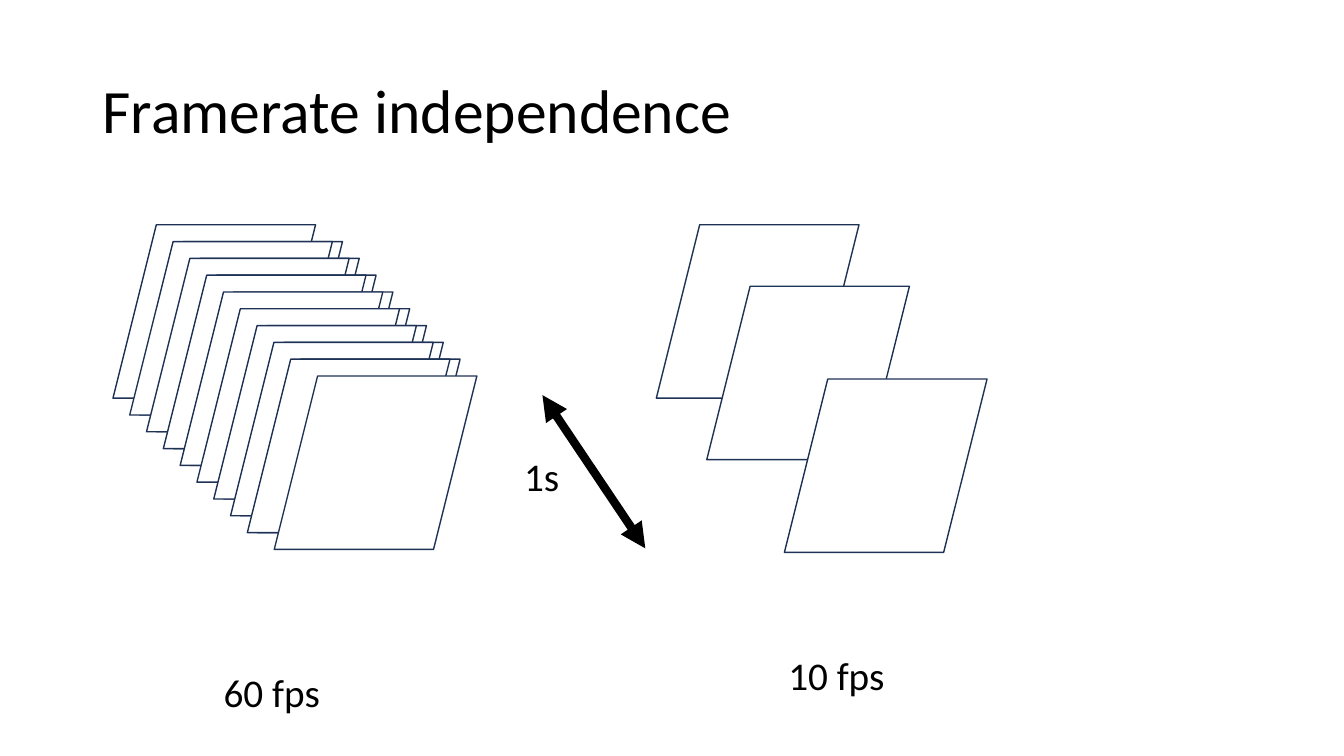
import pptx
import pptx.dml.color
import pptx.enum.shapes
import pptx.enum.text
import pptx.oxml
import pptx.oxml.ns
import pptx.util

Inches = pptx.util.Inches
COLORS = {"text": "000000", "frame_fill": "FFFFFF", "frame_line": "1E3256", "arrow": "000000"}
color = {name: pptx.dml.color.RGBColor.from_string(value) for name, value in COLORS.items()}

presentation = pptx.Presentation()
presentation.slide_width = Inches(13.33)
presentation.slide_height = Inches(7.5)
slide = presentation.slides.add_slide(presentation.slide_layouts[6])


def add_text(text, left, top, width, height, size=28, wrap=True,
             anchor=pptx.enum.text.MSO_ANCHOR.TOP, line_spacing=1.0):
    box = slide.shapes.add_textbox(Inches(left), Inches(top), Inches(width), Inches(height))
    box.text_frame.word_wrap = wrap
    box.text_frame.vertical_anchor = anchor
    paragraph = box.text_frame.paragraphs[0]
    paragraph.text = text
    paragraph.line_spacing = line_spacing
    paragraph.font.name = "Calibri"
    paragraph.font.size = pptx.util.Pt(size)
    paragraph.font.color.rgb = color["text"]


add_text("Framerate independence", 0.92, 0.4, 11.5, 1.45, size=44,
         anchor=pptx.enum.text.MSO_ANCHOR.MIDDLE, line_spacing=0.9)

# The fast stack moves down and right in equal steps, with two frames on each inner step
STEP = 1 / 6
LAST_STEP = 9
fast_frames = [(1.12, 2.23)]
for step in range(1, LAST_STEP + 1):
    left, top = 1.12 + step * STEP, 2.23 + step * STEP
    fast_frames.append((left + 0.1, top))
    if step < LAST_STEP:
        fast_frames.append((left, top))
slow_frames = [(6.51, 2.23), (7.01, 2.84), (7.78, 3.76)]

for left, top in fast_frames + slow_frames:
    frame = slide.shapes.add_shape(pptx.enum.shapes.MSO_SHAPE.PARALLELOGRAM,
                                   Inches(left), Inches(top), Inches(2.01), Inches(1.72))
    frame.shadow.inherit = False
    frame.fill.solid()
    frame.fill.fore_color.rgb = color["frame_fill"]
    frame.line.color.rgb = color["frame_line"]
    frame.line.width = pptx.util.Pt(1)

add_text("60 fps", 2.12, 6.58, 1.17, 0.57, wrap=False)
add_text("10 fps", 7.72, 6.41, 5.5, 0.57)

arrow = slide.shapes.add_connector(pptx.enum.shapes.MSO_CONNECTOR.STRAIGHT,
                                   Inches(5.38), Inches(3.92), Inches(6.4), Inches(5.44))
arrow.line.color.rgb = color["arrow"]
arrow.line.width = pptx.util.Pt(6)
line_element = arrow.line._get_or_add_ln()
for end in ("a:headEnd", "a:tailEnd"):
    arrowhead = pptx.oxml.xmlchemy.OxmlElement(end)
    arrowhead.set("type", "triangle")
    line_element.append(arrowhead)
arrow._element.spPr.append(pptx.oxml.xmlchemy.OxmlElement("a:effectLst"))

add_text("1s", 5.1, 4.44, 0.91, 0.57)

presentation.save("out.pptx")
